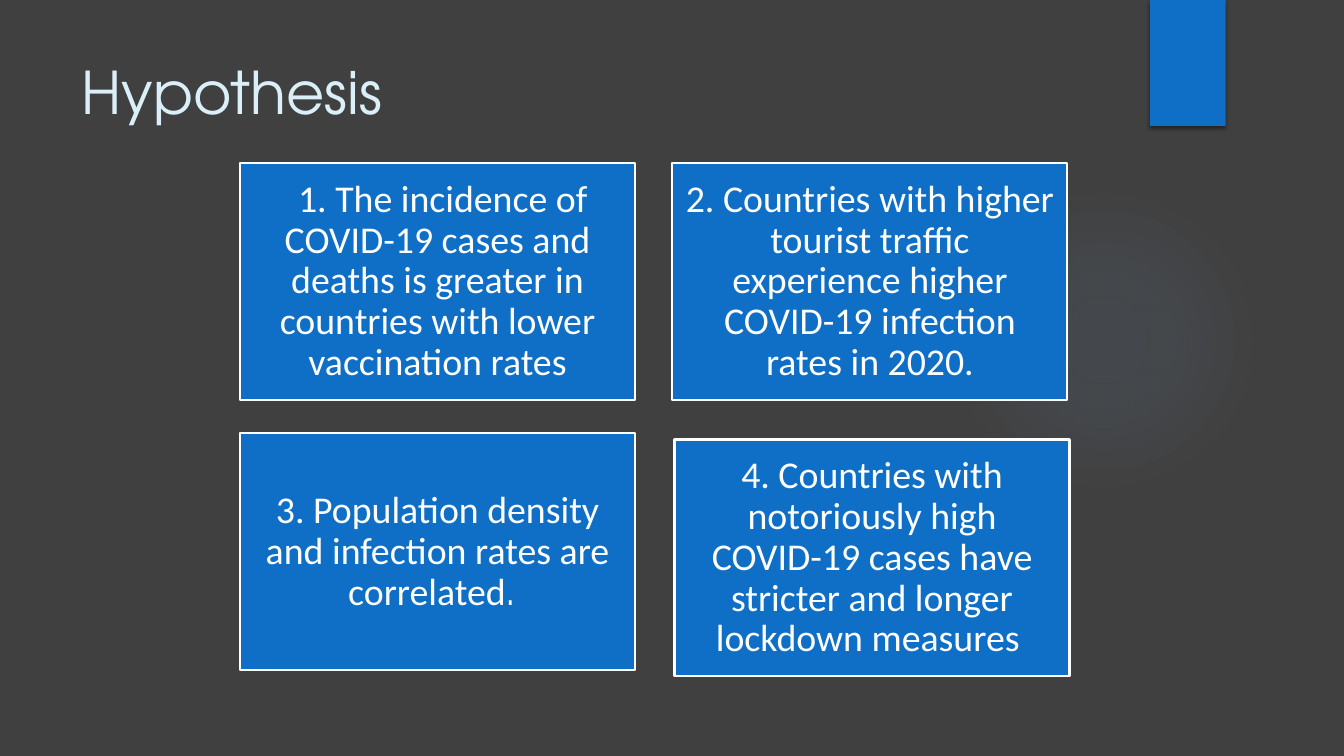
from lxml import etree
from pptx import Presentation
from pptx.dml.color import RGBColor
from pptx.enum.shapes import MSO_SHAPE
from pptx.enum.text import MSO_ANCHOR, MSO_AUTO_SIZE, PP_ALIGN
from pptx.oxml import parse_xml
from pptx.oxml.ns import nsdecls, qn
from pptx.util import Pt

RECT, OVAL = MSO_SHAPE.RECTANGLE, MSO_SHAPE.OVAL
TOP, MIDDLE = MSO_ANCHOR.TOP, MSO_ANCHOR.MIDDLE
LEFT, CENTER = PP_ALIGN.LEFT, PP_ALIGN.CENTER
NO_AUTOFIT = MSO_AUTO_SIZE.NONE

GRAY = RGBColor(0x40, 0x40, 0x40)
BLUE = RGBColor(0x0F, 0x6F, 0xC6)
GLOW_BLUE = RGBColor(0x82, 0xB1, 0xE5)
PALE_BLUE = RGBColor(0xDB, 0xEF, 0xF9)
WHITE = RGBColor(0xFF, 0xFF, 0xFF)

HEADING_FONT = "TeX Gyre Adventor"
BODY_FONT = "Calibri"

# Card grid; the last card sits slightly off it
GRID_LEFT, GRID_TOP = 171.4, 116.6
CARD_WIDTH, CARD_HEIGHT = 282.2, 169.2
COLUMN_STEP, ROW_STEP = 308.9, 193
CARD_INSET = 8.1
HYPOTHESES = [
    ([(" ", HEADING_FONT),
      ("1. The incidence of COVID-19 cases and deaths is greater in "
       "countries with lower vaccination rates", BODY_FONT)], (0, 0)),
    ([("2. Countries with higher tourist traffic experience higher "
       "COVID-19 infection rates in 2020.", BODY_FONT)], (0, 0)),
    ([("3. Population density and infection rates are correlated", BODY_FONT),
      (". ", HEADING_FONT)], (0, 0)),
    ([("4. Countries with notoriously high COVID-19 cases have stricter "
       "and longer lockdown measures ", BODY_FONT)], (1.5, 4.3)),
]


def style_run(r, font, size, color):
    r.font.name = font
    r.font.size = Pt(size)
    r.font.color.rgb = color


def add_block(s, kind, left, top, width, height):
    sp = s.shapes.add_shape(kind, Pt(left), Pt(top), Pt(width), Pt(height))
    sp.shadow.inherit = False
    sp.fill.solid()
    sp.fill.fore_color.rgb = BLUE
    sp.line.fill.background()
    return sp


def add_glow(s):
    sp = add_block(s, OVAL, 677.5, 131.8, 221.8, 221.8)
    stops = "".join(
        f'<a:gs pos="{pos * 1000}"><a:srgbClr val="{GLOW_BLUE}">'
        f'<a:alpha val="{alpha * 1000}"/></a:srgbClr></a:gs>'
        for pos, alpha in ((0, 7), (36, 6), (69, 0)))
    gradient = parse_xml(
        f'<a:gradFill {nsdecls("a")}><a:gsLst>{stops}</a:gsLst>'
        '<a:path path="circle">'
        '<a:fillToRect l="50000" t="50000" r="50000" b="50000"/>'
        '</a:path></a:gradFill>')
    sp_pr = sp.element.spPr
    sp_pr.replace(sp_pr.find(qn("a:solidFill")), gradient)


def add_ribbon(s):
    sp = add_block(s, RECT, 821.5, 0, 54, 90)
    effects = sp.element.spPr.find(qn("a:effectLst"))
    shadow = etree.SubElement(
        effects, qn("a:outerShdw"), blurRad=str(Pt(3)), dist=str(Pt(2)),
        dir="5400000", algn="ctr", rotWithShape="0")
    color = etree.SubElement(shadow, qn("a:srgbClr"), val="000000")
    etree.SubElement(color, qn("a:alpha"), val="45000")


def set_title(s, text):
    title = s.shapes.title
    title.left, title.top = Pt(51.1), Pt(36)
    title.width, title.height = Pt(740.9), Pt(110.2)
    tf = title.text_frame
    tf.text = text
    tf.auto_size = NO_AUTOFIT
    tf.vertical_anchor = TOP
    p = tf.paragraphs[0]
    p.alignment = LEFT
    style_run(p.runs[0], HEADING_FONT, 42, PALE_BLUE)


def add_card(s, left, top, pieces):
    sp = add_block(s, RECT, left, top, CARD_WIDTH, CARD_HEIGHT)
    sp.line.color.rgb = WHITE
    sp.line.width = Pt(1.5)
    tf = sp.text_frame
    tf.word_wrap = True
    tf.vertical_anchor = MIDDLE
    tf.margin_left = tf.margin_right = Pt(CARD_INSET)
    tf.margin_top = tf.margin_bottom = Pt(CARD_INSET)
    p = tf.paragraphs[0]
    p.alignment = CENTER
    p.line_spacing = 0.9
    for text, font in pieces:
        r = p.add_run()
        r.text = text
        style_run(r, font, 27, WHITE)


def main():
    prs = Presentation()
    prs.slide_width, prs.slide_height = Pt(960), Pt(540)
    s = prs.slides.add_slide(prs.slide_layouts[5])

    # Backdrop
    s.background.fill.solid()
    s.background.fill.fore_color.rgb = GRAY
    add_glow(s)
    add_ribbon(s)

    # Title and hypothesis cards
    set_title(s, "Hypothesis")
    for i, (pieces, (dx, dy)) in enumerate(HYPOTHESES):
        row, column = divmod(i, 2)
        add_card(s, GRID_LEFT + column * COLUMN_STEP + dx,
                 GRID_TOP + row * ROW_STEP + dy, pieces)

    prs.save("out.pptx")


if __name__ == "__main__":
    main()
